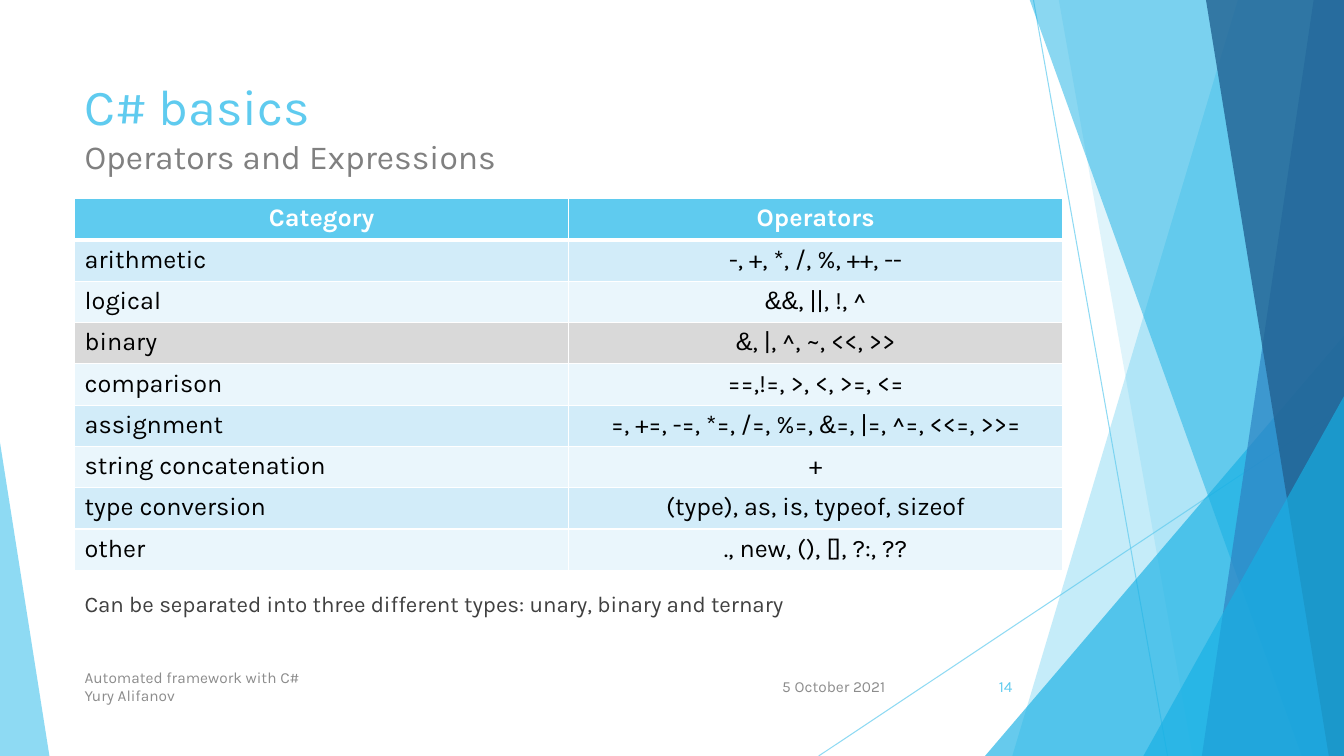
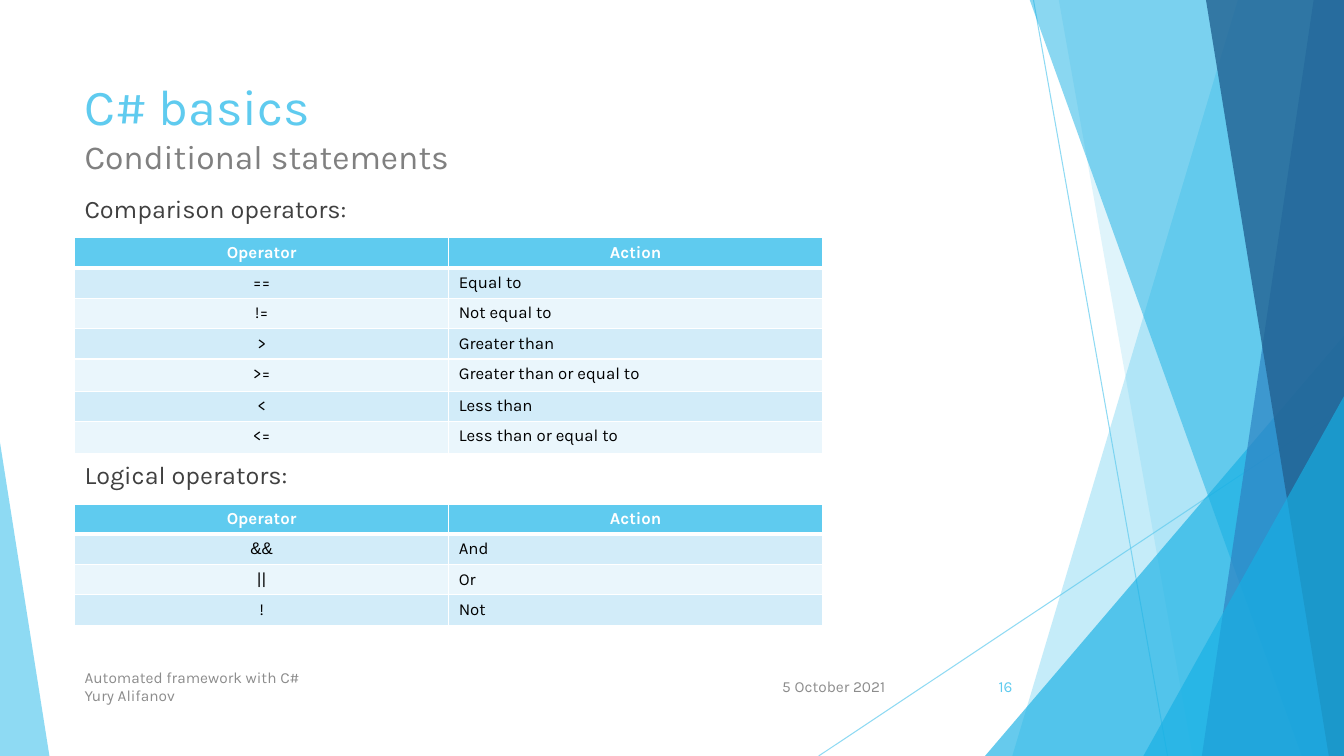
from itertools import groupby

from lxml import etree
from pptx import Presentation
from pptx.dml.color import RGBColor
from pptx.enum import shapes, text
from pptx.oxml.ns import qn
from pptx.util import Emu, Inches, Pt

WIDTH, HEIGHT = 13.33, 7.5
LEFT = 0.74
FONT, AMPERSAND_FONT = "Karla", "Arial"
SKY, AZURE, BLUE, NAVY = "5FCBEF", "17B0E4", "2E83C3", "226292"
BAND_DARK, BAND_LIGHT, HIGHLIGHT = "D2ECF9", "EAF6FC", "D9D9D9"
WHITE, BLACK, BODY, SUBTITLE, FOOTER = "FFFFFF", "000000", "404040", "808080", "8C8C8C"
ALIGN = {"l": text.PP_ALIGN.LEFT, "c": text.PP_ALIGN.CENTER, "r": text.PP_ALIGN.RIGHT}


def rgb(color):
    return RGBColor.from_string(color)


def paint(fill, color, opacity=100):
    """Fill with a solid colour; opacity is a percentage."""
    fill.solid()
    fill.fore_color.rgb = rgb(color)
    if opacity < 100:
        solid = fill._xPr.find(qn("a:solidFill"))
        etree.SubElement(solid[0], qn("a:alpha"), val=str(opacity * 1000))


class Deck:
    def __init__(self):
        self.prs = Presentation()
        self.prs.slide_width = Inches(WIDTH)
        self.prs.slide_height = Inches(HEIGHT)
        self.slide = None

    def new_slide(self, subtitle, number):
        self.slide = self.prs.slides.add_slide(self.prs.slide_layouts[6])
        self.facets()
        self.title("C# basics", subtitle)
        self.text(7.22, 6.61, 1.66, 0.4, ["5 October 2021"], 11, FOOTER, "r", True)
        self.text(LEFT, 6.61, 6.89, 0.4,
                  ["Automated framework with C#", "Yury Alifanov"], 11, FOOTER, middle=True)
        self.text(9.39, 6.61, 0.75, 0.4, [str(number)], 11, SKY, "r", True)

    def facets(self):
        """Draw the translucent planes on both edges of the slide."""
        self.line(10.25, 0, 11.58, HEIGHT)
        self.line(WIDTH, 4.03, 8.12, HEIGHT)
        self.plane(12.28, 10.04, SKY, 36)
        self.plane(10.5, 11.83, SKY, 20)
        self.triangle(9.77, 3.33, 3.56, 1, AZURE, 66)
        self.plane(10.21, 12.91, AZURE, 50)
        self.plane(13.03, 11.92, BLUE, 70)
        self.plane(11.96, 13.18, NAVY, 80)
        self.triangle(11.34, 3.93, 1.99, 1, AZURE, 66)
        self.triangle(0, 4.39, 0.49, 0, SKY, 70)

    def line(self, x1, y1, x2, y2):
        cn = self.slide.shapes.add_connector(
            shapes.MSO_CONNECTOR.STRAIGHT, Inches(x1), Inches(y1), Inches(x2), Inches(y2))
        cn.line.width = Pt(0.75)
        paint(cn.line.fill, SKY, 70)
        etree.SubElement(cn._element.spPr, qn("a:effectLst"))

    def finish(self, sp, color, opacity):
        sp.shadow.inherit = False
        sp.line.fill.background()
        paint(sp.fill, color, opacity)

    def plane(self, top_x, bottom_x, color, opacity):
        """Fill from a slanted left edge to the right edge of the slide."""
        top = -0.01
        builder = self.slide.shapes.build_freeform(Inches(top_x), Inches(top))
        corners = [(WIDTH, top), (WIDTH, HEIGHT), (bottom_x, HEIGHT)]
        builder.add_line_segments([(Inches(x), Inches(y)) for x, y in corners])
        self.finish(builder.convert_to_shape(), color, opacity)

    def triangle(self, x, y, w, apex, color, opacity):
        sp = self.slide.shapes.add_shape(
            shapes.MSO_SHAPE.ISOSCELES_TRIANGLE,
            Inches(x), Inches(y), Inches(w), Inches(HEIGHT - y))
        sp.adjustments[0] = apex
        self.finish(sp, color, opacity)

    def run(self, p, words, size, color, bold=False, font=FONT):
        r = p.add_run()
        r.text = words
        r.font.name = font
        r.font.size = Pt(size)
        r.font.bold = bold
        r.font.color.rgb = rgb(color)

    def frame(self, x, y, w, h):
        box = self.slide.shapes.add_textbox(Inches(x), Inches(y), Inches(w), Inches(h))
        box.text_frame.word_wrap = True
        return box.text_frame

    def title(self, heading, subtitle):
        p = self.frame(LEFT, 0.7, 9.4, 1.44).paragraphs[0]
        self.run(p, heading, 36, SKY)
        p.add_line_break()
        self.run(p, subtitle, 24, SUBTITLE)

    def text(self, x, y, w, h, lines, size, color, align="l", middle=False):
        tf = self.frame(x, y, w, h)
        if middle:
            tf.vertical_anchor = text.MSO_ANCHOR.MIDDLE
        for i, words in enumerate(lines):
            p = tf.add_paragraph() if i else tf.paragraphs[0]
            p.alignment = ALIGN[align]
            self.run(p, words, size, color)

    def borders(self, cell, top, bottom):
        """Give a cell white borders, 1 pt wide at the sides."""
        tcPr = cell._tc.get_or_add_tcPr()
        sides = [("L", 1), ("R", 1), ("T", top), ("B", bottom)]
        for i, (side, width) in enumerate(sides):
            ln = etree.Element(qn("a:ln" + side), w=str(Pt(width)))
            solid = etree.SubElement(ln, qn("a:solidFill"))
            etree.SubElement(solid, qn("a:srgbClr"), val=WHITE)
            tcPr.insert(i, ln)

    def table(self, y, w, heights, rows, size, aligns, highlight=None):
        """Add a banded table with equal columns; the first row is the header."""
        columns = len(rows[0])
        tbl = self.slide.shapes.add_table(
            len(rows), columns, Inches(LEFT), Inches(y),
            Inches(w), Inches(sum(heights))).table
        tbl.first_row = tbl.horz_banding = False
        for column in tbl.columns:
            column.width = Emu(Inches(w) // columns)
        for i, (row, height) in enumerate(zip(rows, heights)):
            tbl.rows[i].height = Inches(height)
            header = i == 0
            band = SKY if header else BAND_DARK if i % 2 else BAND_LIGHT
            for j, words in enumerate(row):
                cell = tbl.cell(i, j)
                paint(cell.fill, HIGHLIGHT if i == highlight else band)
                self.borders(cell, 3 if i == 1 else 1, 3 if header else 1)
                p = cell.text_frame.paragraphs[0]
                p.alignment = ALIGN["c" if header else aligns[j]]
                for ampersand, chars in groupby(words, lambda c: c == "&"):
                    self.run(p, "".join(chars), size, WHITE if header else BLACK,
                             header, AMPERSAND_FONT if ampersand else FONT)


OPERATOR_CATEGORIES = [
    ("Category", "Operators"),
    ("arithmetic", "-, +, *, /, %, ++, --"),
    ("logical", "&&, ||, !, ^"),
    ("binary", "&, |, ^, ~, <<, >>"),
    ("comparison", "==,!=, >, <, >=, <="),
    ("assignment", "=, +=, -=, *=, /=, %=, &=, |=, ^=, <<=, >>="),
    ("string concatenation", "+"),
    ("type conversion", "(type), as, is, typeof, sizeof"),
    ("other", "., new, (), [], ?:, ??"),
]
ACTION_HEADER = ("Operator", "Action")
COMPARISONS = [
    ACTION_HEADER,
    ("==", "Equal to"),
    ("!=", "Not equal to"),
    (">", "Greater than"),
    (">=", "Greater than or equal to"),
    ("<", "Less than"),
    ("<=", "Less than or equal to"),
]
LOGICALS = [ACTION_HEADER, ("&&", "And"), ("||", "Or"), ("!", "Not")]


def main():
    deck = Deck()

    deck.new_slide("Operators and Expressions", 14)
    deck.table(1.97, 9.8, [0.41] * 9, OPERATOR_CATEGORIES, 18, "lc", highlight=3)
    deck.text(LEFT, 5.81, 9.4, 0.6,
              ["Can be separated into three different types: unary, binary and ternary"],
              16, BODY)

    deck.new_slide("Conditional statements", 16)
    deck.text(LEFT, 1.87, 9.4, 0.4, ["Comparison operators:"], 18, BODY)
    deck.table(2.36, 7.42, [0.29] * 4 + [0.32, 0.29, 0.32], COMPARISONS, 12, "cl")
    deck.text(LEFT, 4.51, 9.4, 0.4, ["Logical operators:"], 18, BODY)
    deck.table(5, 7.42, [0.29] * 4, LOGICALS, 12, "cl")

    deck.prs.save("out.pptx")


if __name__ == "__main__":
    main()
